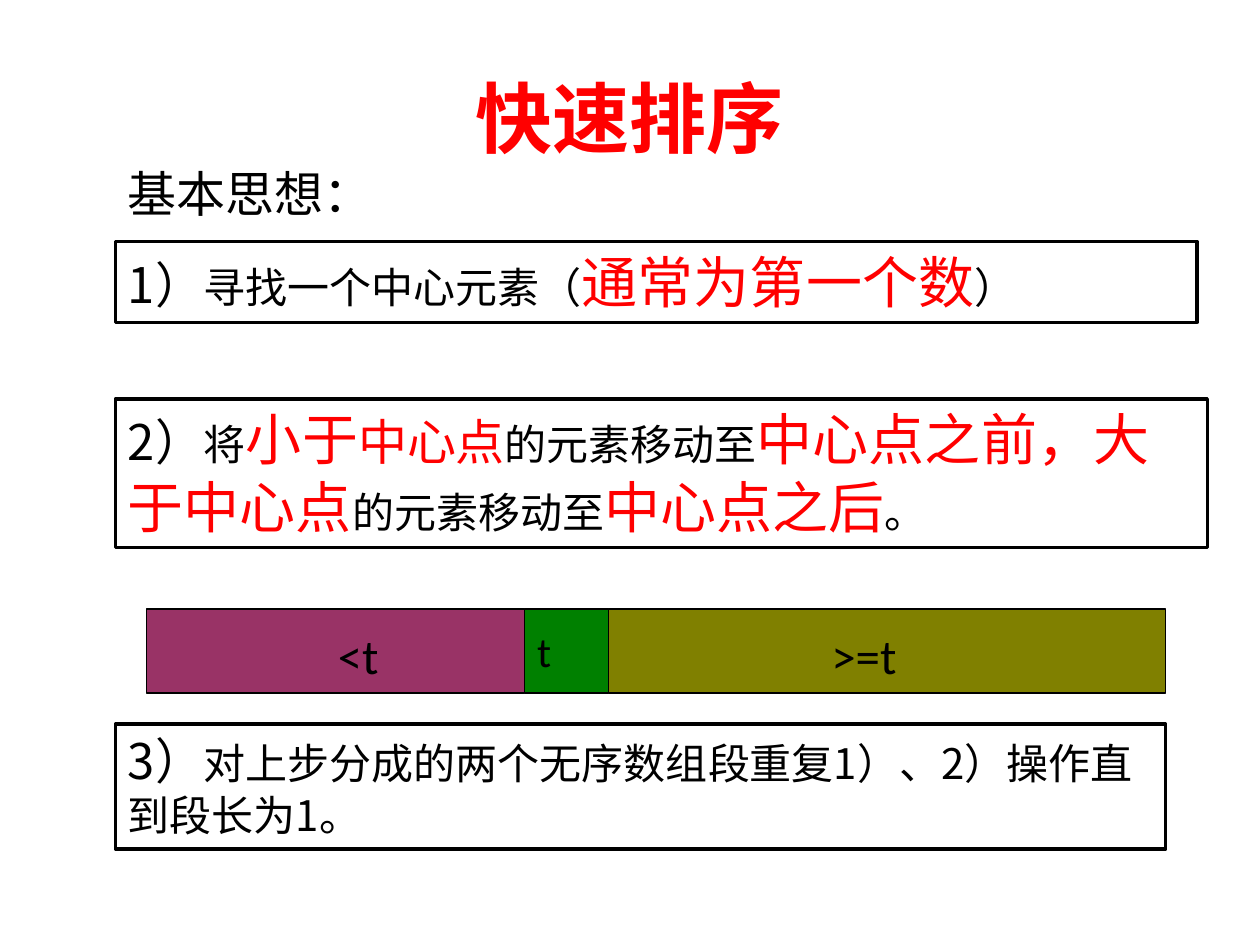
from lxml.etree import SubElement
from pptx import Presentation
from pptx.dml.color import RGBColor
from pptx.enum.shapes import MSO_SHAPE as Kind
from pptx.enum.text import MSO_ANCHOR as Anchor, MSO_AUTO_SIZE as Fit, PP_ALIGN as Align
from pptx.oxml.ns import qn
from pptx.util import Cm, Pt

BLACK = RGBColor(0x00, 0x00, 0x00)
RED = RGBColor(0xFF, 0x00, 0x00)
PLUM = RGBColor(0x99, 0x33, 0x66)
GREEN = RGBColor(0x00, 0x80, 0x00)
OLIVE = RGBColor(0x80, 0x80, 0x00)
NOTO = "Noto Sans CJK SC"
GROW = {"word_wrap": True, "auto_size": Fit.SHAPE_TO_FIT_TEXT, "vertical_anchor": Anchor.TOP}


def write(shape, runs, face, frame=GROW, align=Align.LEFT, bold=False):
    """Fill a shape with one paragraph of (text, size, colour) runs."""
    for key, val in frame.items():
        setattr(shape.text_frame, key, val)
    para = shape.text_frame.paragraphs[0]
    para.alignment = align
    for text, size, color in runs:
        run = para.add_run()
        run.text = text
        for key, val in {"name": face, "size": Pt(size), "bold": bold}.items():
            setattr(run.font, key, val)
        run.font.color.rgb = color
        SubElement(run.font._element, qn("a:ea"), typeface=NOTO)


def block(shapes, left, top, width, height, weight, fill=None):
    """Add a black-edged rectangle, sized in centimetres."""
    rect = shapes.add_shape(Kind.RECTANGLE, Cm(left), Cm(top), Cm(width), Cm(height))
    rect.shadow.inherit = False
    rect.line.color.rgb = BLACK
    rect.line.width = Pt(weight)
    if fill is None:
        rect.fill.background()
    else:
        rect.fill.solid()
        rect.fill.fore_color.rgb = fill
    return rect


deck = Presentation()
deck.slide_width, deck.slide_height = Cm(25.4), Cm(19.05)
shapes = deck.slides.add_slide(deck.slide_layouts[6]).shapes

# Title
title = shapes.add_textbox(Cm(1.27), Cm(0.76), Cm(22.86), Cm(3.18))
write(title, [("快速排序", 44, RED)], "Calibri",
      {"word_wrap": True, "vertical_anchor": Anchor.MIDDLE}, Align.CENTER, True)

# Heading
head = shapes.add_textbox(Cm(2.33), Cm(3.18), Cm(22.43), Cm(1.44))
write(head, [("基本思想：", 28, BLACK)], "DejaVu Sans")

# Framed steps: top, width, height, runs
steps = [
    (4.87, 21.8, 1.63, [
        ("1）", 28, BLACK), ("寻找一个中心元素（", 24, BLACK),
        ("通常为第一个数", 32, RED), ("）", 24, BLACK)]),
    (8.04, 22.01, 3, [
        ("2）", 28, BLACK), ("将", 24, BLACK), ("小于", 32, RED),
        ("中心点", 28, RED), ("的元素移动至", 24, BLACK),
        ("中心点之前，大于中心点", 32, RED), ("的元素移动至", 24, BLACK),
        ("中心点之后", 32, RED), ("。", 24, BLACK)]),
    (14.6, 21.17, 2.52, [
        ("3）", 28, BLACK),
        ("对上步分成的两个无序数组段重复1）、2）操作直到段长为1。", 24, BLACK)]),
]
for top, width, height, runs in steps:
    write(block(shapes, 2.33, top, width, height, 2), runs, NOTO)

# Split array: three parts side by side
group = shapes.add_group_shape()
left = 2.96
for width, fill, text in [(7.62, PLUM, ""), (1.69, GREEN, "t"), (11.22, OLIVE, "")]:
    part = block(group.shapes, left, 12.28, width, 1.69, 0.75, fill)
    if text:
        write(part, [(text, 24, BLACK)], "Calibri",
              {"word_wrap": False, "vertical_anchor": Anchor.MIDDLE})
    left += width

# Labels over the outer parts
for left, text in [(6.56, "<t"), (16.51, ">=t")]:
    label = shapes.add_textbox(Cm(left), Cm(12.49), Cm(2.75), Cm(1.44))
    write(label, [(text, 28, BLACK)], "Calibri")

deck.save("out.pptx")
